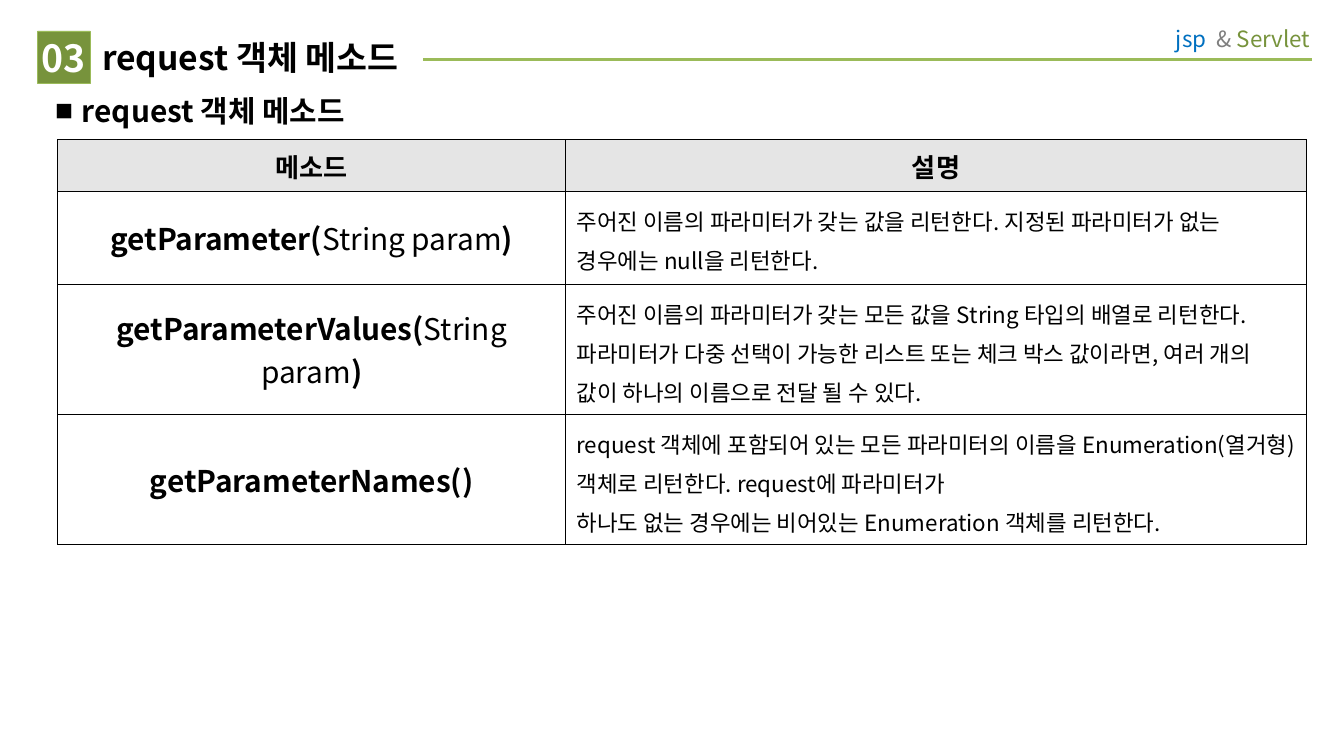
import pptx
import pptx.util
import pptx.dml.color
import pptx.enum.shapes
import pptx.enum.text
import pptx.oxml
import pptx.oxml.ns
from pptx.util import Inches, Pt
from lxml import etree

RGB = pptx.dml.color.RGBColor
BLACK = RGB(0x00, 0x00, 0x00)
WHITE = RGB(0xFF, 0xFF, 0xFF)
GREEN = RGB(0x77, 0x93, 0x3C)
LIME = RGB(0x9B, 0xBB, 0x59)
BLUE = RGB(0x00, 0x70, 0xC0)
GREY = RGB(0x7F, 0x7F, 0x7F)
HEADER = RGB(0xE5, 0xE5, 0xE5)
FONT = "Noto Sans CJK KR"
ALIGN = pptx.enum.text.PP_ALIGN
ANCHOR = pptx.enum.text.MSO_ANCHOR
qn = pptx.oxml.ns.qn


def add_run(p, text, size, color=BLACK, bold=False):
    r = p.add_run()
    r.text = text
    r.font.size, r.font.bold, r.font.name = Pt(size), bold, FONT
    r.font.color.rgb = color
    r.font._element.set("kern", "0")
    etree.SubElement(r.font._element, qn("a:ea"), typeface=FONT)


def set_frame(sp, box, insets, anchor):
    sp.left, sp.top, sp.width, sp.height = [Inches(v) for v in box]
    tf = sp.text_frame
    tf.word_wrap = True
    tf.auto_size = pptx.enum.text.MSO_AUTO_SIZE.NONE
    tf.vertical_anchor = anchor
    tf.margin_left, tf.margin_top, tf.margin_right, tf.margin_bottom = [Inches(v) for v in insets]
    return tf.paragraphs[0]


# A 16:9 slide
prs = pptx.Presentation()
prs.slide_width, prs.slide_height = Pt(720), Pt(405)
s = prs.slides.add_slide(prs.slide_layouts[3])
title, badge, heading = s.placeholders

# Title
title.fill.solid()
title.fill.fore_color.rgb = WHITE
p = set_frame(title, (0.68, 0.23, 2.47, 0.39), (0.08, 0.04, 0, 0.04), ANCHOR.MIDDLE)
p.alignment = ALIGN.LEFT
add_run(p, "request 객체 메소드", 18, bold=True)

# Section number
badge.fill.solid()
badge.fill.fore_color.rgb = GREEN
badge.line.color.rgb = LIME
badge.line.width = Pt(0.25)
p = set_frame(badge, (0.28, 0.23, 0.39, 0.39), (0, 0, 0, 0), ANCHOR.MIDDLE)
p.alignment = ALIGN.CENTER
p.space_before = Pt(0)
pPr = p._p.get_or_add_pPr()
pPr.set("marL", "0")
pPr.set("indent", "0")
etree.SubElement(pPr, qn("a:buNone"))
add_run(p, "03", 20, WHITE, True)

# Bulleted heading
p = set_frame(heading, (0.31, 0.64, 8.62, 0.44), (0.1, 0.05, 0.1, 0.05), ANCHOR.TOP)
p.space_before = Pt(0)
pPr = p._p.get_or_add_pPr()
pPr.set("marL", str(Inches(0.2)))
pPr.set("indent", str(-Inches(0.2)))
bullet_color = etree.SubElement(pPr, qn("a:buClr"))
etree.SubElement(bullet_color, qn("a:srgbClr"), val=str(BLACK))
etree.SubElement(pPr, qn("a:buChar"), char="■")
add_run(p, "request 객체 메소드", 16, bold=True)

# Header rule and course name
rule = s.shapes.add_connector(pptx.enum.shapes.MSO_CONNECTOR.STRAIGHT,
                              Inches(9.76), Inches(0.44), Inches(3.15), Inches(0.44))
rule.line.color.rgb = LIME
rule.line.width = Pt(1.5)
etree.SubElement(rule._element.spPr, qn("a:effectLst"))
course = s.shapes.add_textbox(0, 0, 0, 0)
p = set_frame(course, (8.31, 0.11, 1.54, 0.36), (0.1, 0.08, 0.1, 0.08), ANCHOR.TOP)
p.alignment = ALIGN.RIGHT
for text, color in (("jsp  ", BLUE), ("& ", GREY), ("Servlet", GREEN)):
    add_run(p, text, 12, color)

# Method table: runs of the signature as (text, bold), then lines of the description
rows = [
    ([("메소드", True)], ["설명"]),
    ([("getParameter(", True), ("String param", False), (")", True)],
     ["주어진 이름의 파라미터가 갖는 값을 리턴한다. 지정된 파라미터가 없는 경우에는 null을 리턴한다."]),
    ([("getParameterValues(", True), ("String param", False), (")", True)],
     ["주어진 이름의 파라미터가 갖는 모든 값을 String 타입의 배열로 리턴한다. 파라미터가 다중 선택이 "
      "가능한 리스트 또는 체크 박스 값이라면, 여러 개의 값이 하나의 이름으로 전달 될 수 있다."]),
    ([("getParameterNames()", True)],
     ["request 객체에 포함되어 있는 모든 파라미터의 이름을 Enumeration(열거형) 객체로 리턴한다. "
      "request에 파라미터가 ",
      "하나도 없는 경우에는 비어있는 Enumeration 객체를 리턴한다."]),
]
table = s.shapes.add_table(len(rows), 2, Inches(0.43), Inches(1.04),
                           Inches(9.29), Inches(2.83)).table
table.first_row = table.horz_banding = False
for column, width in zip(table.columns, (3.78, 5.51)):
    column.width = Inches(width)
for row, height in zip(table.rows, (0.38, 0.69, 0.88, 0.88)):
    row.height = Inches(height)

for i, (signature, description) in enumerate(rows):
    for j in range(2):
        cell = table.cell(i, j)
        tcPr = cell._tc.get_or_add_tcPr()
        for side in "LRTB":
            border = etree.SubElement(tcPr, qn("a:ln" + side), w=str(Pt(0.4)))
            fill = etree.SubElement(border, qn("a:solidFill"))
            etree.SubElement(fill, qn("a:srgbClr"), val=str(BLACK))
        if i == 0:
            cell.fill.solid()
            cell.fill.fore_color.rgb = HEADER
        else:
            cell.fill.background()
            cell.margin_left = cell.margin_right = Inches(0.08)
        is_text = i > 0 and j == 1
        cell.vertical_anchor = ANCHOR.TOP if is_text else ANCHOR.MIDDLE
        p = cell.text_frame.paragraphs[0]
        p.alignment = ALIGN.LEFT if is_text else ALIGN.CENTER
        if is_text:
            p.line_spacing = 1.2
        if j == 0:
            for text, bold in signature:
                add_run(p, text, 16 if i else 14, bold=bold)
        else:
            for n, line in enumerate(description):
                if n:
                    p.add_line_break()
                add_run(p, line, 12 if i else 14, bold=i == 0)

prs.save("out.pptx")
